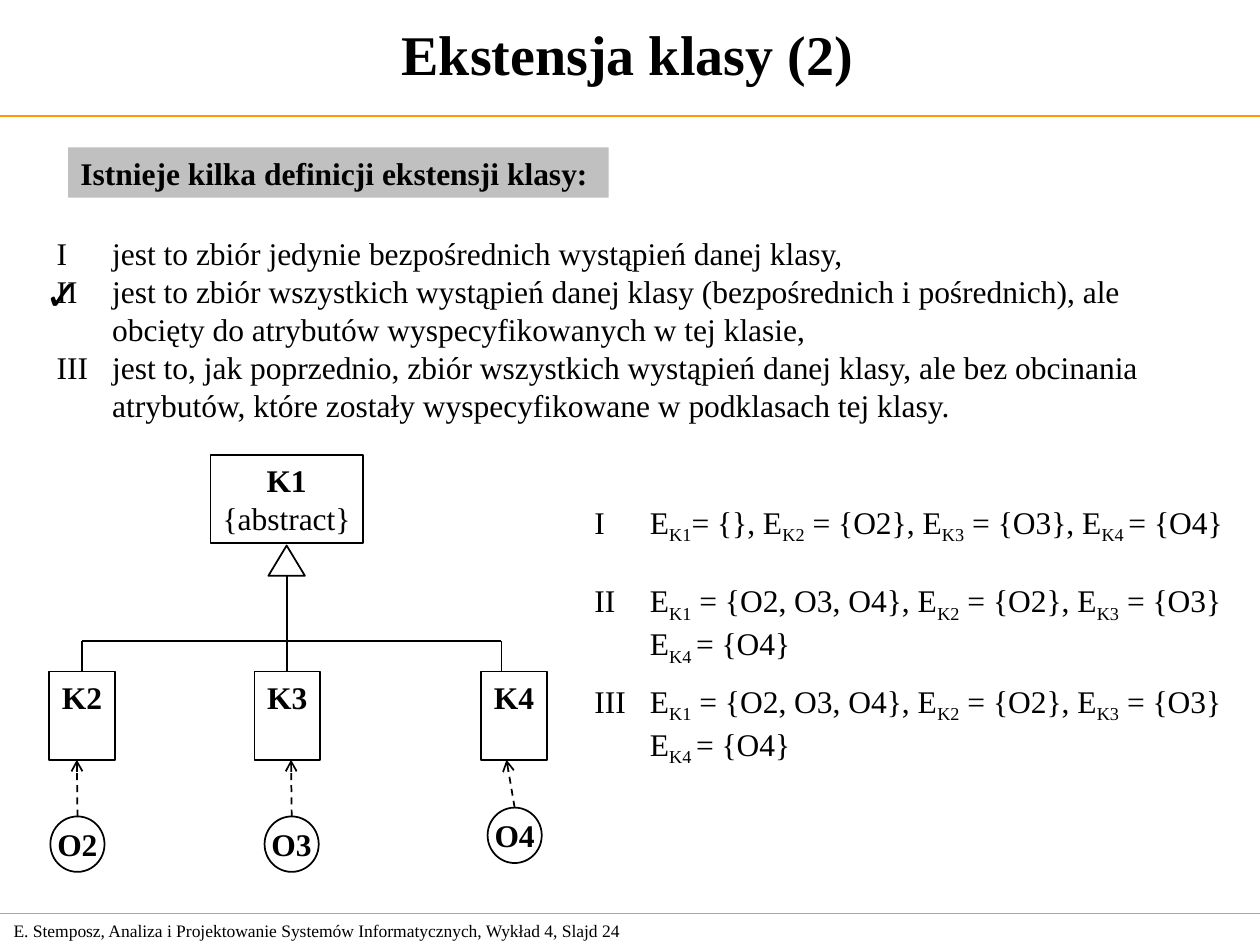
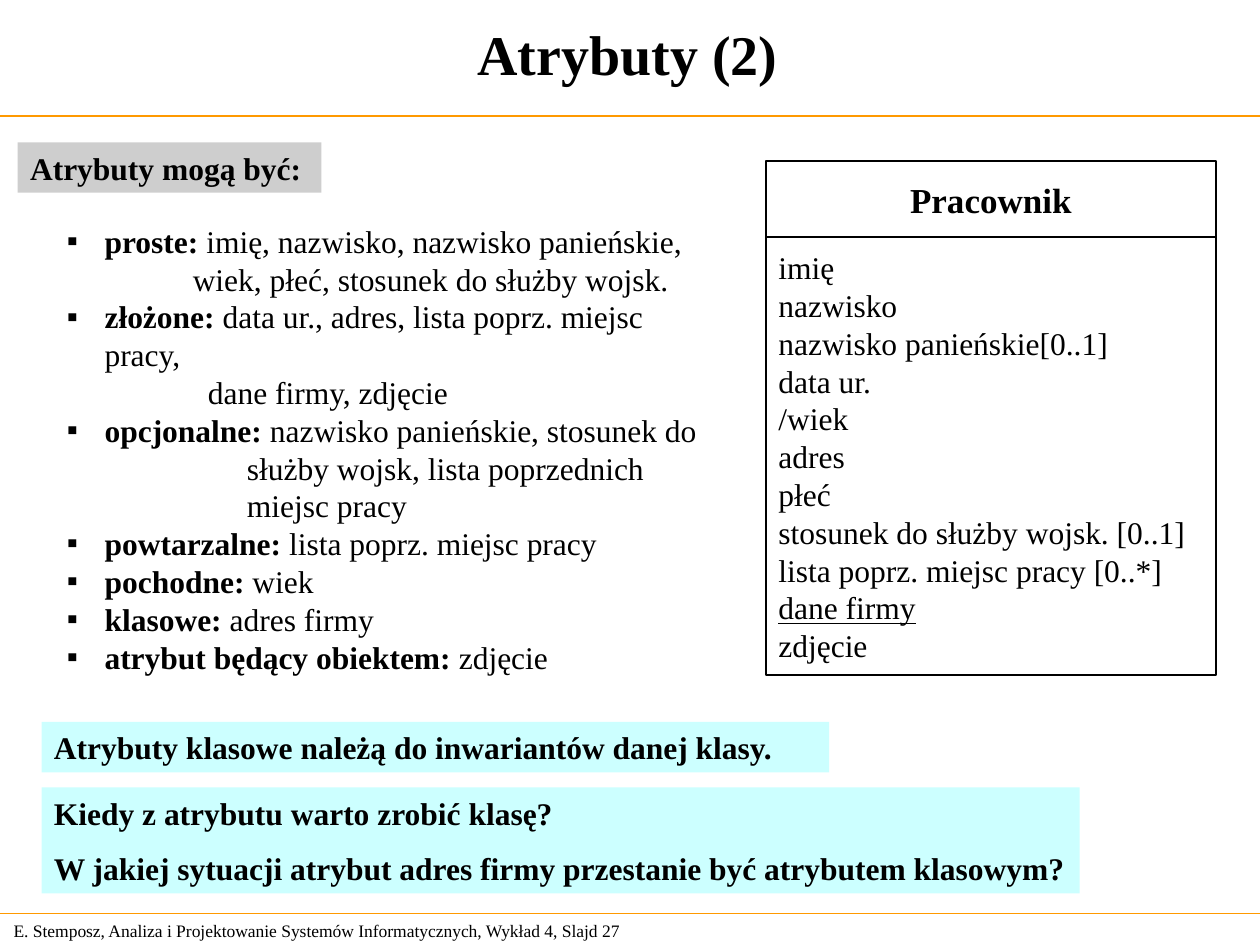
import pptx
import pptx.dml.color
import pptx.enum.dml
import pptx.enum.shapes
import pptx.enum.text
import pptx.oxml.ns
import pptx.util
from lxml import etree

Inches = pptx.util.Inches
Pt = pptx.util.Pt
SHAPE = pptx.enum.shapes.MSO_SHAPE
ALIGN = pptx.enum.text.PP_ALIGN
ANCHOR = pptx.enum.text.MSO_ANCHOR

BLACK = pptx.dml.color.RGBColor(0x00, 0x00, 0x00)
ORANGE = pptx.dml.color.RGBColor(0xFF, 0x99, 0x00)
SILVER = pptx.dml.color.RGBColor(0xC0, 0xC0, 0xC0)
LIGHT_GRAY = pptx.dml.color.RGBColor(0xCE, 0xCE, 0xCE)
PALE_CYAN = pptx.dml.color.RGBColor(0xCC, 0xFF, 0xFF)

NORMAL = {"name": "Times New Roman", "size": Pt(18), "bold": False}
BOLD = {**NORMAL, "bold": True}
TITLE = {**BOLD, "size": Pt(32)}
CLASS_NAME = {**BOLD, "size": Pt(20)}
FOOTER = {**NORMAL, "size": Pt(10)}
CHECK = {**BOLD, "name": "Arial", "size": Pt(24)}
UNDERLINE = {"underline": True}
HEAVY = {"bold": True}

FOOTER_TEXT = "E. Stemposz, Analiza i Projektowanie Systemów Informatycznych, Wykład 4, Slajd {}"
HANGING = 0.44

# Text between ~ signs is emphasised; \n breaks a line within a paragraph.
DEFINITIONS = [
    "I\tjest to zbiór jedynie bezpośrednich wystąpień danej klasy,",
    "II\tjest to zbiór wszystkich wystąpień danej klasy (bezpośrednich i pośrednich), ale\n"
    "obcięty do atrybutów wyspecyfikowanych w tej klasie,",
    "III\tjest to, jak poprzednio, zbiór wszystkich wystąpień danej klasy, ale bez obcinania\n"
    "atrybutów, które zostały wyspecyfikowane w podklasach tej klasy.",
]
FULL_EXTENSIONS = "E~K1~ = {O2, O3, O4}, E~K2~ = {O2}, E~K3~ = {O3}\nE~K4 ~= {O4}"
EXTENSIONS = [  # top, text
    (3.94, "I\tE~K1~= {}, E~K2~ = {O2}, E~K3~ = {O3}, E~K4 ~= {O4}"),
    (4.56, "II\t" + FULL_EXTENSIONS),
    (5.36, "III\t" + FULL_EXTENSIONS),
]
SUBCLASSES = [  # class, left, object, left and top of object, arrow end
    ("K2", 0.39, "O2", 0.4, 6.48, 0.61),
    ("K3", 2.02, "O3", 2.1, 6.48, 2.31),
    ("K4", 3.82, "O4", 3.87, 6.41, 4.02),
]
BRANCH_Y, CLASS_TOP, CLASS_HEIGHT = 5.09, 5.33, 0.7
BRANCH_LEFT, BRANCH_RIGHT = 0.65, 3.98

ATTRIBUTE_KINDS = [  # text, lines below it, indent of those lines
    ("~proste:~ imię, nazwisko, nazwisko panieńskie,",
     ["wiek, płeć, stosunek do służby wojsk."], 1.0),
    ("~złożone:~ data ur., adres, lista poprz. miejsc pracy,",
     ["dane firmy, zdjęcie"], 1.12),
    ("~opcjonalne:~ nazwisko panieńskie, stosunek do",
     ["służby wojsk, lista poprzednich", "miejsc pracy"], 1.43),
    ("~powtarzalne:~ lista poprz. miejsc pracy", [], 0),
    ("~pochodne:~ wiek", [], 0),
    ("~klasowe:~ adres firmy", [], 0),
    ("~atrybut będący obiektem:~ zdjęcie", [], 0),
]
EMPLOYEE_ATTRIBUTES = [
    "imię", "nazwisko", "nazwisko panieńskie[0..1]", "data ur.", "/wiek", "adres",
    "płeć", "stosunek do służby wojsk. [0..1]", "lista poprz. miejsc pracy [0..*]",
    "~dane firmy~", "zdjęcie",
]
QUESTIONS = [
    "Kiedy z atrybutu warto zrobić klasę?",
    "W jakiej sytuacji atrybut adres firmy przestanie być atrybutem klasowym?",
]


def add_element(parent, tag, **attributes):
    return etree.SubElement(parent, pptx.oxml.ns.qn(tag), attributes)


def add_spans(para, text, style, emphasis=None):
    """Add runs; parts between ~ get the emphasis, or become subscripts without one."""
    for line_number, line in enumerate(text.split("\n")):
        if line_number:
            para.add_line_break()
        for number, part in enumerate(line.split("~")):
            if not part:
                continue
            span = para.add_run()
            span.text = part
            marked = number % 2 == 1
            values = {**style, **emphasis} if marked and emphasis else style
            for name, value in values.items():
                setattr(span.font, name, value)
            span.font.color.rgb = BLACK
            if marked and not emphasis:
                span._r.get_or_add_rPr().set("baseline", "-25000")


def set_list_format(para, margin, hanging=0, bullet=None):
    properties = para._p.get_or_add_pPr()
    properties.set("marL", str(Inches(margin)))
    properties.set("indent", str(-Inches(hanging)))
    if bullet:
        add_element(properties, "a:buFont", typeface="Arial")
        add_element(properties, "a:buChar", char=bullet)
    else:
        add_element(properties, "a:buNone")


def write(shape, texts, style, align=ALIGN.LEFT, anchor=ANCHOR.TOP, wrap=True,
          emphasis=None, gap=0):
    """Fill a shape with one paragraph per text and return the paragraphs."""
    frame = shape.text_frame
    frame.auto_size = pptx.enum.text.MSO_AUTO_SIZE.NONE
    frame.word_wrap = wrap
    frame.vertical_anchor = anchor
    for number, text in enumerate(texts):
        para = frame.add_paragraph() if number else frame.paragraphs[0]
        para.alignment = align
        para.space_before = Pt(gap if number else 0)
        add_spans(para, text, style, emphasis)
    return frame.paragraphs


def place(shape, left, top, width, height):
    for name, value in zip(("left", "top", "width", "height"), (left, top, width, height)):
        setattr(shape, name, Inches(value))
    return shape


def add_text_box(page, *area):
    return page.shapes.add_textbox(*map(Inches, area))


def add_figure(page, kind, *area, fill=None):
    """Add a filled shape without an outline, or an outlined shape without a fill."""
    shape = page.shapes.add_shape(kind, *map(Inches, area))
    shape.shadow.inherit = False
    if fill is None:
        shape.fill.background()
        shape.line.color.rgb = BLACK
        shape.line.width = Pt(1)
    else:
        shape.fill.solid()
        shape.fill.fore_color.rgb = fill
        shape.line.fill.background()
    return shape


def add_line(page, start, end, color=BLACK, width=1):
    line = page.shapes.add_connector(
        pptx.enum.shapes.MSO_CONNECTOR.STRAIGHT, *map(Inches, (*start, *end)))
    line.line.color.rgb = color
    line.line.width = Pt(width)
    add_element(line._element.spPr, "a:effectLst")
    return line


def add_page(deck, title, number):
    page = deck.slides.add_slide(deck.slide_layouts[1])
    write(place(page.shapes.title, 0, 0, 9.96, 0.85), [title], TITLE,
          ALIGN.CENTER, ANCHOR.MIDDLE)
    for y, width in ((0.92, 1), (7.25, 0.75)):
        add_line(page, (0, y), (10, y), ORANGE, width)
    write(add_text_box(page, 0.01, 7.25, 5.24, 0.27), [FOOTER_TEXT.format(number)],
          FOOTER, anchor=ANCHOR.MIDDLE, wrap=False)
    return page


def add_class_diagram(page):
    parent = add_figure(page, SHAPE.RECTANGLE, 1.67, 3.61, 1.21, 0.7)
    name, constraint = write(parent, ["~K1~", "{abstract}"], NORMAL, ALIGN.CENTER,
                             ANCHOR.MIDDLE, False, HEAVY)
    add_figure(page, SHAPE.ISOSCELES_TRIANGLE, 2.13, 4.33, 0.29, 0.24)

    boxes = {}
    for class_name, left, object_name, object_left, object_top, arrow_x in SUBCLASSES:
        box = add_figure(page, SHAPE.RECTANGLE, left, CLASS_TOP, 0.52, CLASS_HEIGHT)
        write(box, [class_name], BOLD, ALIGN.CENTER, wrap=False)
        boxes[class_name] = box
        circle = add_figure(page, SHAPE.OVAL, object_left, object_top, 0.43, 0.44)
        write(circle, [object_name], BOLD, ALIGN.CENTER, ANCHOR.MIDDLE, False)
        arrow = add_line(page, (arrow_x, object_top), (arrow_x, CLASS_TOP + CLASS_HEIGHT))
        arrow.begin_connect(circle, 0)
        arrow.line.dash_style = pptx.enum.dml.MSO_LINE.DASH
        add_element(arrow.line._get_or_add_ln(), "a:tailEnd", type="arrow")

    add_line(page, (BRANCH_LEFT, BRANCH_Y), (BRANCH_RIGHT, BRANCH_Y))
    add_line(page, (BRANCH_RIGHT, BRANCH_Y), (BRANCH_RIGHT, CLASS_TOP))
    for class_name, start in (("K2", (BRANCH_LEFT, BRANCH_Y)), ("K3", (2.28, 4.57))):
        add_line(page, start, (start[0], CLASS_TOP)).end_connect(boxes[class_name], 0)


def build_extension_page(deck):
    page = add_page(deck, "Ekstensja klasy (2)", 24)
    heading = add_figure(page, SHAPE.RECTANGLE, 0.54, 1.17, 4.29, 0.4, fill=SILVER)
    write(heading, ["Istnieje kilka definicji ekstensji klasy:"], BOLD, wrap=False)
    body = place(page.placeholders[1], 0.35, 1.81, 9.62, 1.6)
    for para in write(body, DEFINITIONS, NORMAL):
        set_list_format(para, HANGING, HANGING)
    add_class_diagram(page)
    for top, text in EXTENSIONS:
        box = add_text_box(page, 4.62, top, 5.3, 0.44 + 0.34 * text.count("\n"))
        for para in write(box, [text], NORMAL):
            set_list_format(para, HANGING, HANGING)
    write(add_text_box(page, 0.26, 2.08, 0.47, 0.5), ["✓"], CHECK, ALIGN.CENTER,
          ANCHOR.MIDDLE, False)


def build_attribute_page(deck):
    page = add_page(deck, "Atrybuty (2)", 27)
    heading = add_figure(page, SHAPE.RECTANGLE, 0.14, 1.13, 2.41, 0.4, fill=LIGHT_GRAY)
    write(heading, ["Atrybuty mogą być:"], BOLD, wrap=False)

    lines = []
    for text, followers, indent in ATTRIBUTE_KINDS:
        lines.append((text, 0.3, 0.3, "▪"))
        lines += [(follower, indent, 0, None) for follower in followers]
    body = place(page.placeholders[1], 0.43, 1.71, 5.4, 3.75)
    paras = write(body, [line[0] for line in lines], NORMAL, emphasis=HEAVY)
    for para, (text, margin, hanging, bullet) in zip(paras, lines):
        set_list_format(para, margin, hanging, bullet)

    header = add_figure(page, SHAPE.RECTANGLE, 6.08, 1.28, 3.57, 0.6)
    write(header, ["Pracownik"], CLASS_NAME, ALIGN.CENTER, ANCHOR.MIDDLE)
    attributes = add_figure(page, SHAPE.RECTANGLE, 6.08, 1.88, 3.57, 3.48)
    write(attributes, EMPLOYEE_ATTRIBUTES, NORMAL, anchor=ANCHOR.MIDDLE, wrap=False,
          emphasis=UNDERLINE)

    remark = add_figure(page, SHAPE.RECTANGLE, 0.33, 5.73, 6.25, 0.4, fill=PALE_CYAN)
    write(remark, ["Atrybuty klasowe należą do inwariantów danej klasy."], BOLD)
    questions = add_figure(page, SHAPE.RECTANGLE, 0.33, 6.25, 8.24, 0.84, fill=PALE_CYAN)
    write(questions, QUESTIONS, BOLD, wrap=False, gap=10)


def main():
    deck = pptx.Presentation()
    deck.slide_width, deck.slide_height = Inches(10), Inches(7.5)
    build_extension_page(deck)
    build_attribute_page(deck)
    deck.save("out.pptx")


if __name__ == "__main__":
    main()
